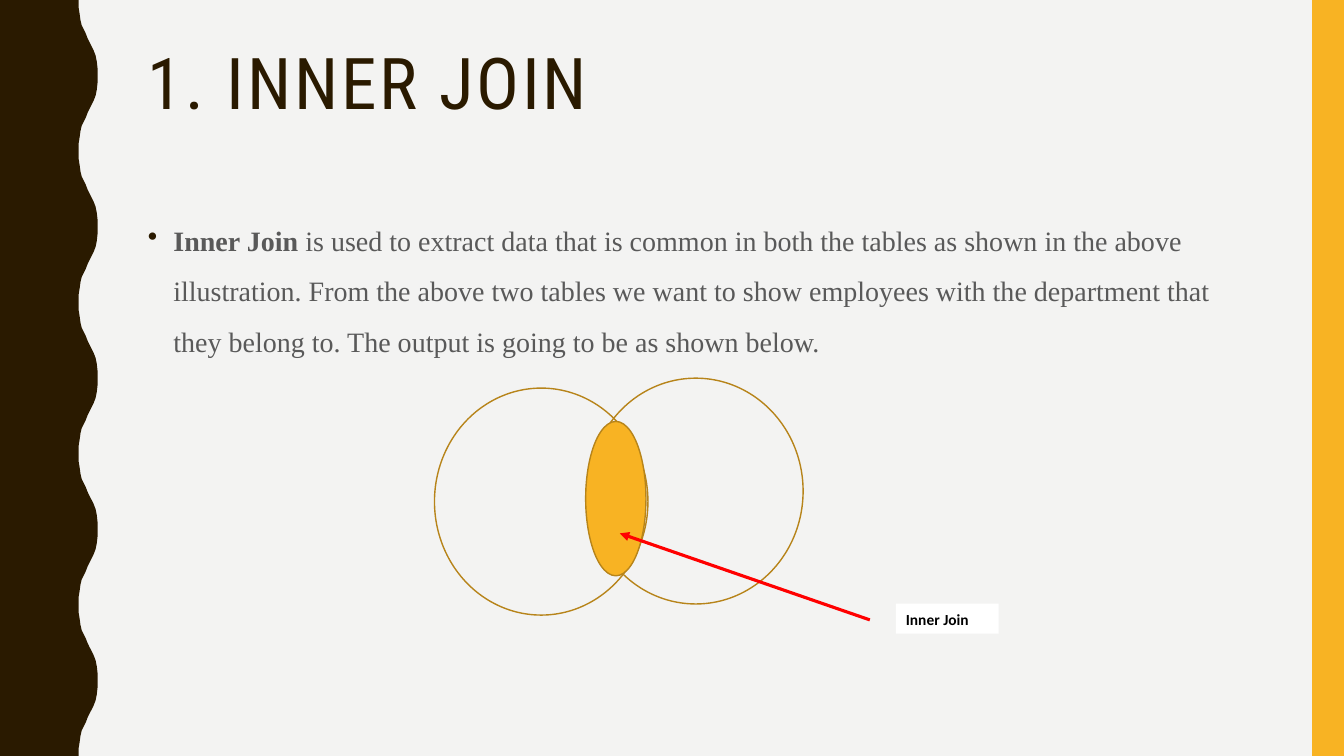
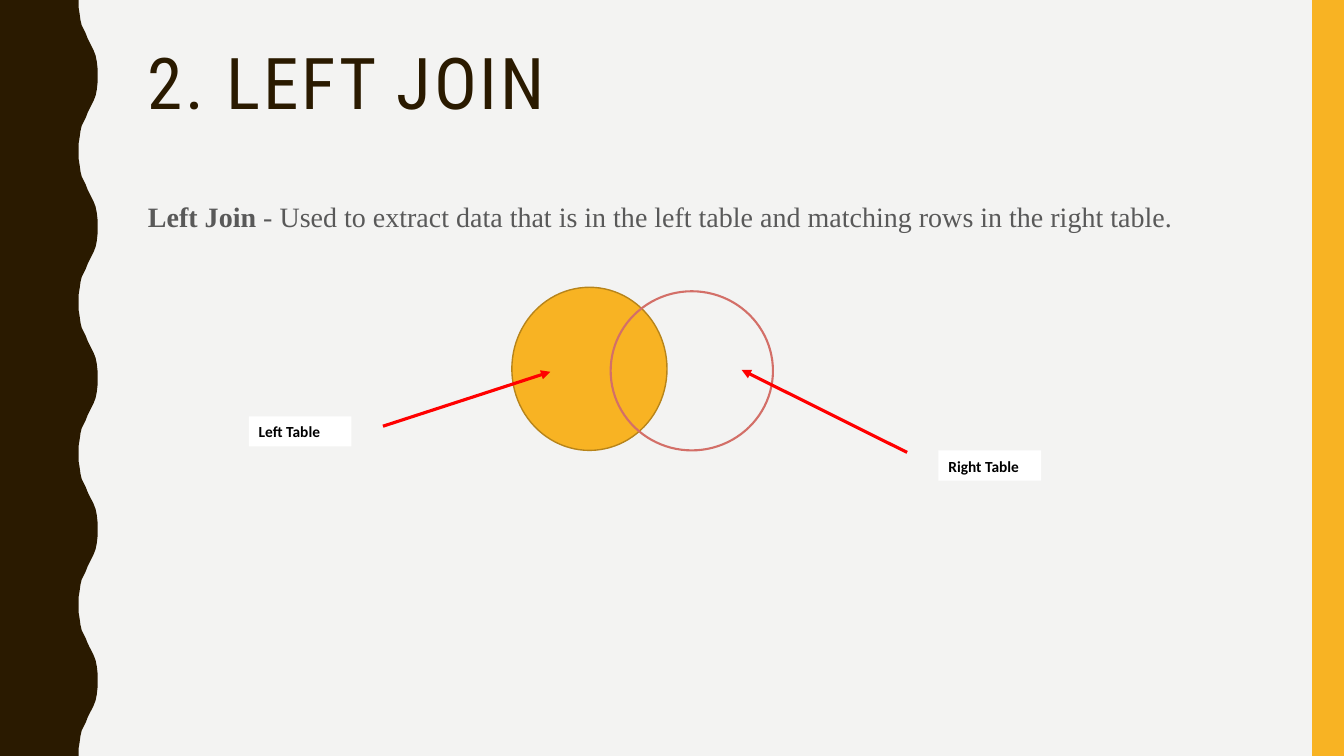
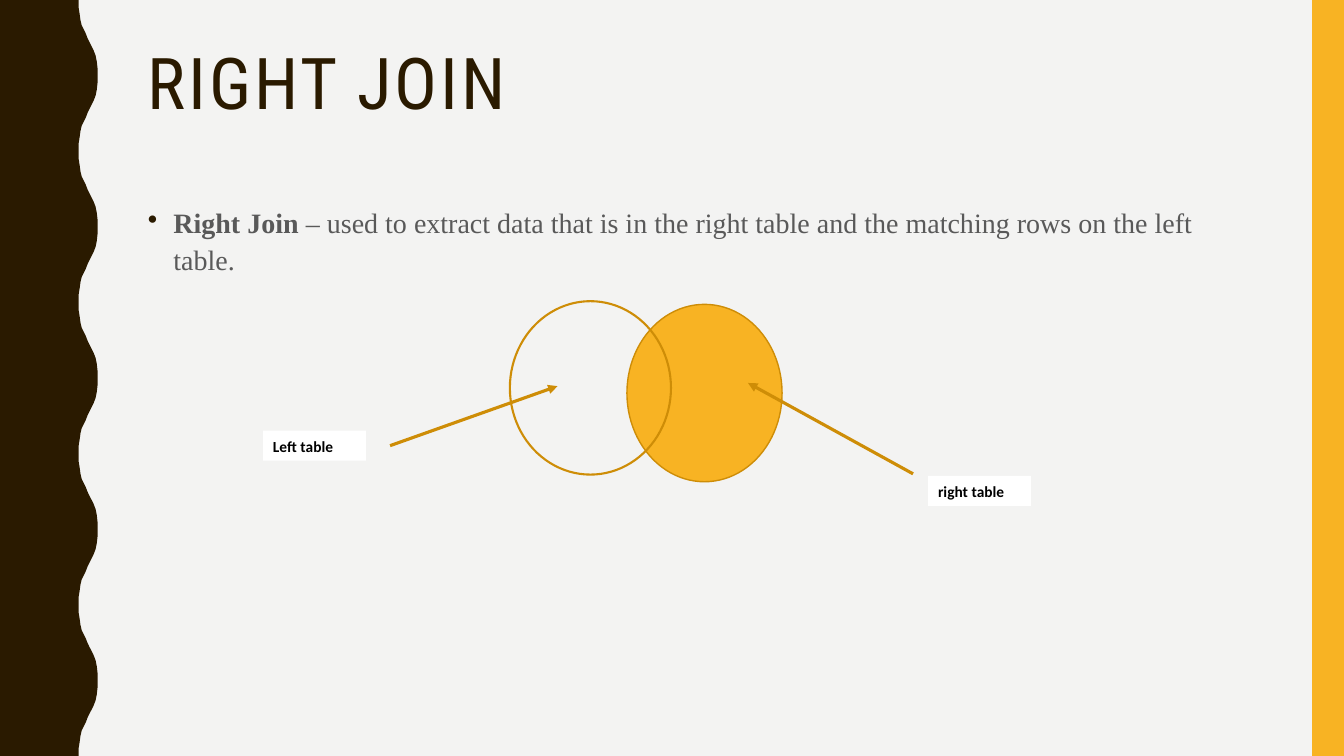
from dataclasses import dataclass

from lxml.etree import SubElement
from pptx import Presentation
from pptx.dml.color import RGBColor
from pptx.enum.shapes import MSO_CONNECTOR, MSO_SHAPE
from pptx.enum.text import MSO_ANCHOR, PP_ALIGN
from pptx.oxml.ns import qn
from pptx.util import Cm, Pt


@dataclass(frozen=True)
class Theme:
    back: str = "F3F3F2"
    dark: str = "2A1A00"
    gold: str = "F8B323"
    edge: str = "B7841A"
    ochre: str = "CE8D07"
    rose: str = "D36F68"
    red: str = "FF0000"
    gray: str = "595959"
    white: str = "FFFFFF"
    black: str = "000000"
    head: str = "Roboto Condensed"
    serif: str = "Times New Roman"
    sans: str = "Calibri"
    big: int = 51
    body: int = 20
    small: int = 11


theme = Theme()
rgb = RGBColor.from_string


def write(shape, *runs, font, size, color, bold=0, lines=1.0, before=0,
          after=0, track=0, bullet=False):
    """Fill a shape with one paragraph; the first `bold` runs are bold."""
    frame = shape.text_frame
    frame.word_wrap = True
    frame.vertical_anchor = MSO_ANCHOR.TOP
    para = frame.paragraphs[0]
    para.alignment = PP_ALIGN.LEFT
    para.line_spacing = lines
    para.space_before, para.space_after = Pt(before), Pt(after)
    if bullet:
        props = para._p.get_or_add_pPr()
        props.set("marL", str(Cm(0.64)))
        props.set("indent", str(-Cm(0.64)))
        tint = SubElement(props, qn("a:buClr"))
        SubElement(tint, qn("a:srgbClr"), val=theme.dark)
        SubElement(props, qn("a:buChar"), char="•")
    for i, text in enumerate(runs):
        run = para.add_run()
        run.text = text
        run.font.name, run.font.size = font, Pt(size)
        run.font.color.rgb = rgb(color)
        run.font.bold = i < bold
        if track:
            run._r.get_or_add_rPr().set("spc", str(track * 100))


def paint(shape, fill=None, line=None, width=1):
    shape.shadow.inherit = False
    if fill:
        shape.fill.solid()
        shape.fill.fore_color.rgb = rgb(fill)
    else:
        shape.fill.background()
    if line:
        shape.line.color.rgb = rgb(line)
        shape.line.width = Pt(width)
    else:
        shape.line.fill.background()


# Wavy edge: half a wave, mirrored and repeated down the slide
wave, count = 3.81, 5
half = [(1.98, 0), (1.98, 0.18), (2.01, 0.36), (2.03, 0.51), (2.06, 0.64),
        (2.11, 0.74), (2.16, 0.84), (2.21, 0.97), (2.26, 1.07), (2.31, 1.17),
        (2.36, 1.27), (2.41, 1.4), (2.44, 1.55), (2.46, 1.73)]
full = half + [(2.46, wave / 2)] + [(x, wave - y) for x, y in half[:0:-1]]
edge = [(Cm(x), Cm(y + n * wave)) for n in range(count) for x, y in full]
edge += [(Cm(1.98), Cm(19.05)), (0, Cm(19.05))]

# Content: boxes are (top, height), rings are (place, fill, line, width),
# arrows are (from, to), labels are (text, left, top)
pages = [
    dict(title="1. INNER JOIN", head=2.92, box=(5.08, 11.25),
         term="Inner Join", lines=1.5, bullet=True,
         text=" is used to extract data that is common in both the tables as "
              "shown in the above illustration. From the above two tables we "
              "want to show employees with the department that they belong "
              "to. The output is going to be as shown below.",
         rings=[((10.95, 9.78, 5.38, 5.72), None, theme.edge, 1),
                ((14.83, 9.53, 5.41, 5.69), None, theme.edge, 1),
                ((14.76, 10.62, 1.52, 3.89), theme.gold, theme.edge, 1)],
         tint=theme.red, arrows=[(21.92, 15.62, 15.62, 13.44)],
         labels=[("Inner Join", 22.58, 15.21)]),
    dict(title="2. LEFT JOIN", head=3.38, box=(4.83, 11.33),
         term="Left Join", lines=1.1, bullet=False,
         text=" - Used to extract data that is in the left table and "
              "matching rows in the right table.",
         rings=[((12.9, 7.24, 3.91, 4.11), theme.gold, theme.edge, 1),
                ((15.39, 7.34, 4.09, 4.01), None, theme.rose, 1.5)],
         tint=theme.red,
         arrows=[(9.65, 10.74, 13.87, 9.37), (22.86, 11.4, 18.69, 9.32)],
         labels=[("Left Table", 6.27, 10.49), ("Right Table", 23.65, 11.35)]),
    dict(title="RIGHT JOIN", head=2.77, box=(4.98, 11.35),
         term="Right Join", lines=1.1, bullet=True,
         text=" – used to extract data that is in the right table and the "
              "matching rows on the left table.",
         rings=[((15.8, 7.67, 3.91, 4.47), theme.gold, theme.ochre, 1),
                ((12.85, 7.59, 4.06, 4.37), None, theme.ochre, 1.5)],
         tint=theme.ochre,
         arrows=[(9.83, 11.23, 14.05, 9.73), (23.01, 11.94, 18.85, 9.65)],
         labels=[("Left table", 6.63, 10.85), ("right table", 23.39, 11.99)]),
]

deck = Presentation()
deck.slide_width, deck.slide_height = Cm(33.87), Cm(19.05)
ground = deck.slide_master.background.fill
ground.solid()
ground.fore_color.rgb = rgb(theme.back)
left, wide = Cm(3.48), Cm(28.27)

for page in pages:
    shapes = deck.slides.add_slide(deck.slide_layouts[6]).shapes

    # Side bands
    pen = shapes.build_freeform(0, 0)
    pen.add_line_segments(edge, close=True)
    paint(pen.convert_to_shape(), theme.dark)
    band = shapes.add_shape(MSO_SHAPE.RECTANGLE, Cm(33.07), 0, Cm(0.8),
                            deck.slide_height)
    paint(band, theme.gold)

    # Title and body
    title = shapes.add_textbox(left, Cm(1.07), wide, Cm(page["head"]))
    write(title, page["title"], font=theme.head, size=theme.big,
          color=theme.dark, lines=0.9, track=2)
    top, high = page["box"]
    body = shapes.add_textbox(left, Cm(top), wide, Cm(high))
    write(body, page["term"], page["text"], font=theme.serif, size=theme.body,
          color=theme.gray, bold=1, lines=page["lines"], before=7,
          bullet=page["bullet"])

    # Venn diagram
    for place, fill, line, width in page["rings"]:
        ring = shapes.add_shape(MSO_SHAPE.OVAL, *map(Cm, place))
        paint(ring, fill, line, width)

    # Arrows
    for ends in page["arrows"]:
        arrow = shapes.add_connector(MSO_CONNECTOR.STRAIGHT, *map(Cm, ends))
        arrow.line.color.rgb = rgb(page["tint"])
        arrow.line.width = Pt(2.25)
        SubElement(arrow.line._get_or_add_ln(), qn("a:tailEnd"),
                   type="triangle")
        SubElement(arrow._element.spPr, qn("a:effectLst"))

    # Labels
    for text, x, y in page["labels"]:
        label = shapes.add_shape(MSO_SHAPE.RECTANGLE, Cm(x), Cm(y),
                                 Cm(2.59), Cm(0.76))
        paint(label, theme.white)
        write(label, text, font=theme.sans, size=theme.small,
              color=theme.black, bold=1, lines=1.07, after=8)

deck.save("out.pptx")
